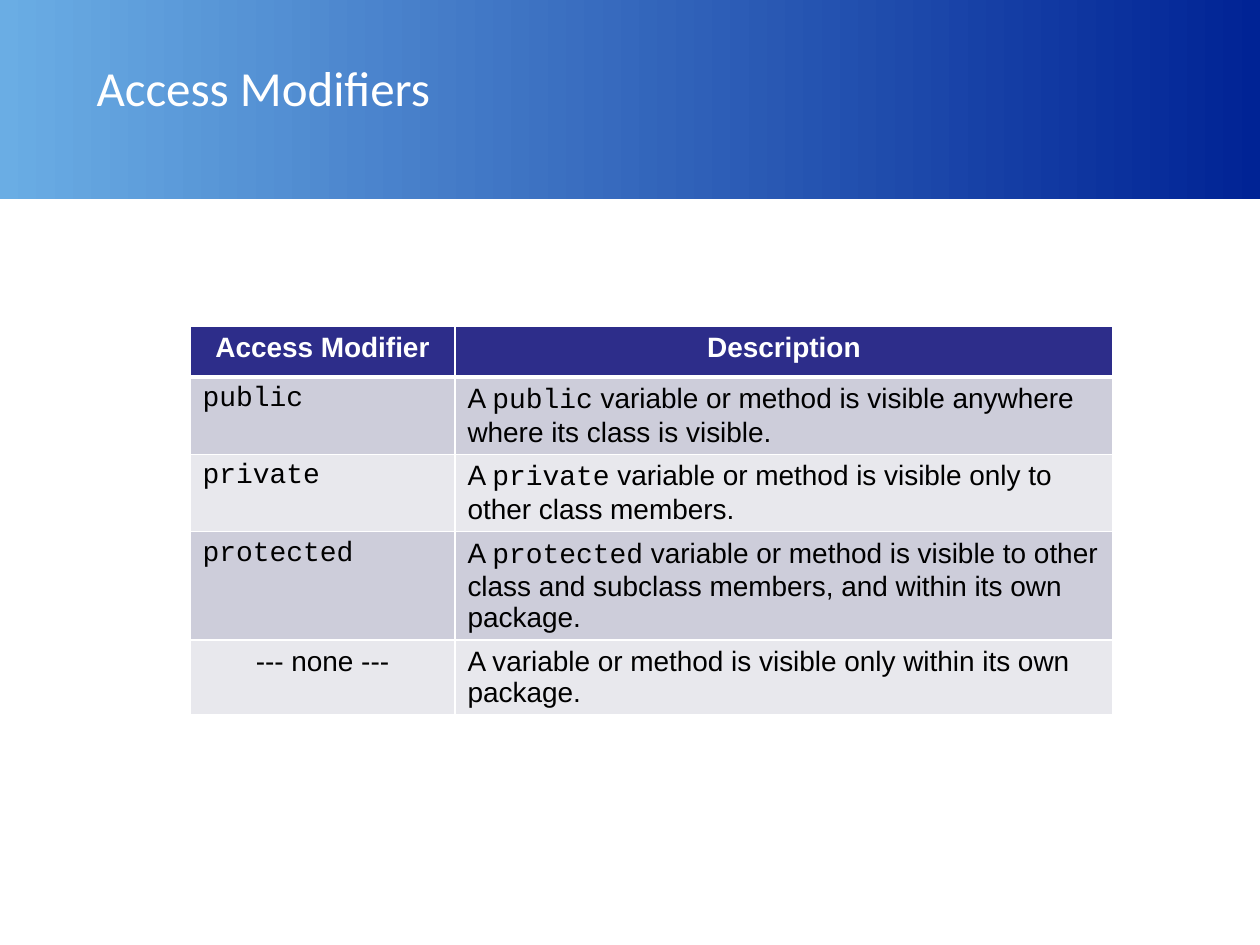
"""Build a slide with a table of access modifiers."""
from lxml import etree
from pptx import Presentation
from pptx import util as u
from pptx.dml.color import RGBColor
from pptx.enum import shapes, text
from pptx.oxml.ns import qn

PX = 914400 // 126
SANS, CODE = "Arial", "Courier New"
WHITE, BLACK, NAVY = "FFFFFF", "000000", "2D2D8A"
BANDS = ["CDCDDA", "E8E8ED"]
GRADIENT = ["6AADE4", "002395"]
TITLE = "Access Modifiers"
HEADER = ["Access Modifier", "Description"]
MODIFIERS = [
    ("public", " variable or method is visible anywhere where its class is visible."),
    ("private", " variable or method is visible only to other class members."),
    ("protected", " variable or method is visible to other class and subclass members, "
                  "and within its own package."),
]
NO_MODIFIER = ("--- none ---", "A variable or method is visible only within its own package.")
COLUMN_WIDTHS = [265, 658]
ROW_HEIGHTS = [51, 77, 77, 108, 75]


def px(*values):
    return [u.Emu(value * PX) for value in values]


def color(code):
    return RGBColor.from_string(code)


def write(frame, *spans, size=16, ink=BLACK, bold=False, align=text.PP_ALIGN.LEFT):
    para = frame.paragraphs[0]
    para.alignment = align
    for words, font in spans:
        span = para.add_run()
        span.text = words
        span.font.name = font
        span.font.size = u.Pt(size)
        span.font.bold = bold
        span.font.color.rgb = color(ink)


def style_cell(cell, fill, top=1, bottom=1):
    cell.fill.solid()
    cell.fill.fore_color.rgb = color(fill)
    properties = cell._tc.get_or_add_tcPr()
    sides = [("lnL", 1), ("lnR", 1), ("lnT", top), ("lnB", bottom)]
    for position, (side, width) in enumerate(sides):
        line = etree.Element(qn("a:" + side), w=str(u.Pt(width)))
        solid = etree.SubElement(line, qn("a:solidFill"))
        etree.SubElement(solid, qn("a:srgbClr"), val=WHITE)
        properties.insert(position, line)


def add_band(page):
    band = page.shapes.add_shape(shapes.MSO_SHAPE.RECTANGLE, *px(0, 0, 1260, 199))
    band.shadow.inherit = False
    band.line.fill.background()
    band.fill.gradient()
    band.fill.gradient_angle = 0
    for stop, code in zip(band.fill.gradient_stops, GRADIENT):
        stop.color.rgb = color(code)
    page.shapes._spTree.insert(2, band._element)


def add_title(page):
    title = page.shapes.title
    title.left, title.top, title.width, title.height = px(84, 48, 1134, 78)
    title.text_frame.vertical_anchor = text.MSO_ANCHOR.MIDDLE
    write(title.text_frame, (TITLE, "Calibri"), size=28, ink=WHITE)


def add_modifier_table(page):
    area = px(190, 326, sum(COLUMN_WIDTHS), sum(ROW_HEIGHTS))
    table = page.shapes.add_table(len(ROW_HEIGHTS), len(COLUMN_WIDTHS), *area).table
    for column, width in zip(table.columns, px(*COLUMN_WIDTHS)):
        column.width = width
    for row, height in zip(table.rows, px(*ROW_HEIGHTS)):
        row.height = height
    center = text.PP_ALIGN.CENTER
    for cell, label in zip(table.rows[0].cells, HEADER):
        style_cell(cell, NAVY, bottom=3)
        write(cell.text_frame, (label, SANS), ink=WHITE, bold=True, align=center)
    for index in range(1, len(ROW_HEIGHTS)):
        for cell in table.rows[index].cells:
            style_cell(cell, BANDS[(index - 1) % 2], top=3 if index == 1 else 1)
    for index, (keyword, meaning) in enumerate(MODIFIERS, 1):
        write(table.cell(index, 0).text_frame, (keyword, CODE))
        write(table.cell(index, 1).text_frame, ("A ", SANS), (keyword, CODE), (meaning, SANS))
    last = len(ROW_HEIGHTS) - 1
    write(table.cell(last, 0).text_frame, (NO_MODIFIER[0], SANS), align=center)
    write(table.cell(last, 1).text_frame, (NO_MODIFIER[1], SANS))


def main():
    deck = Presentation()
    deck.slide_width, deck.slide_height = px(1260, 945)
    page = deck.slides.add_slide(deck.slide_layouts[5])
    add_band(page)
    add_title(page)
    add_modifier_table(page)
    deck.save("out.pptx")


if __name__ == "__main__":
    main()
